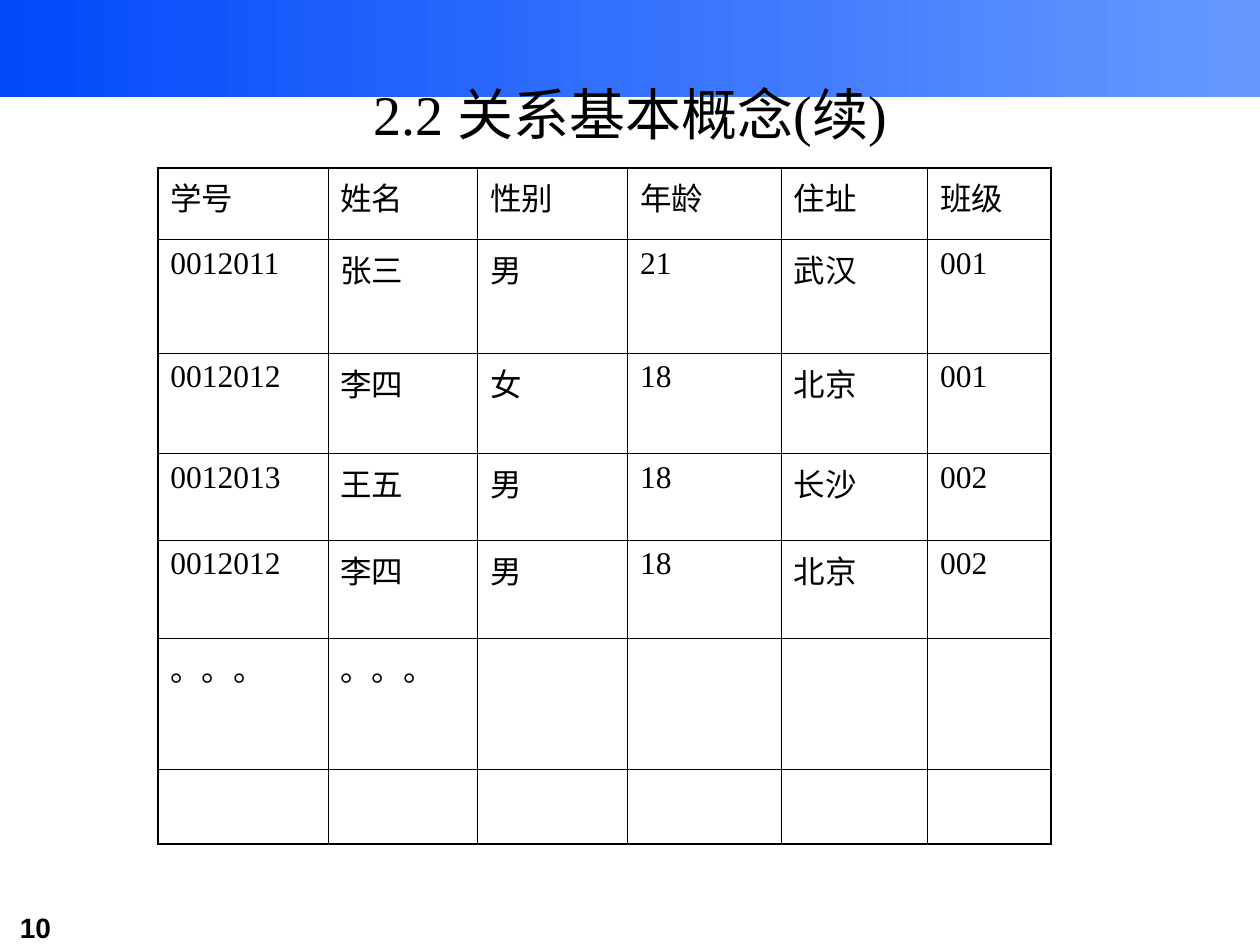
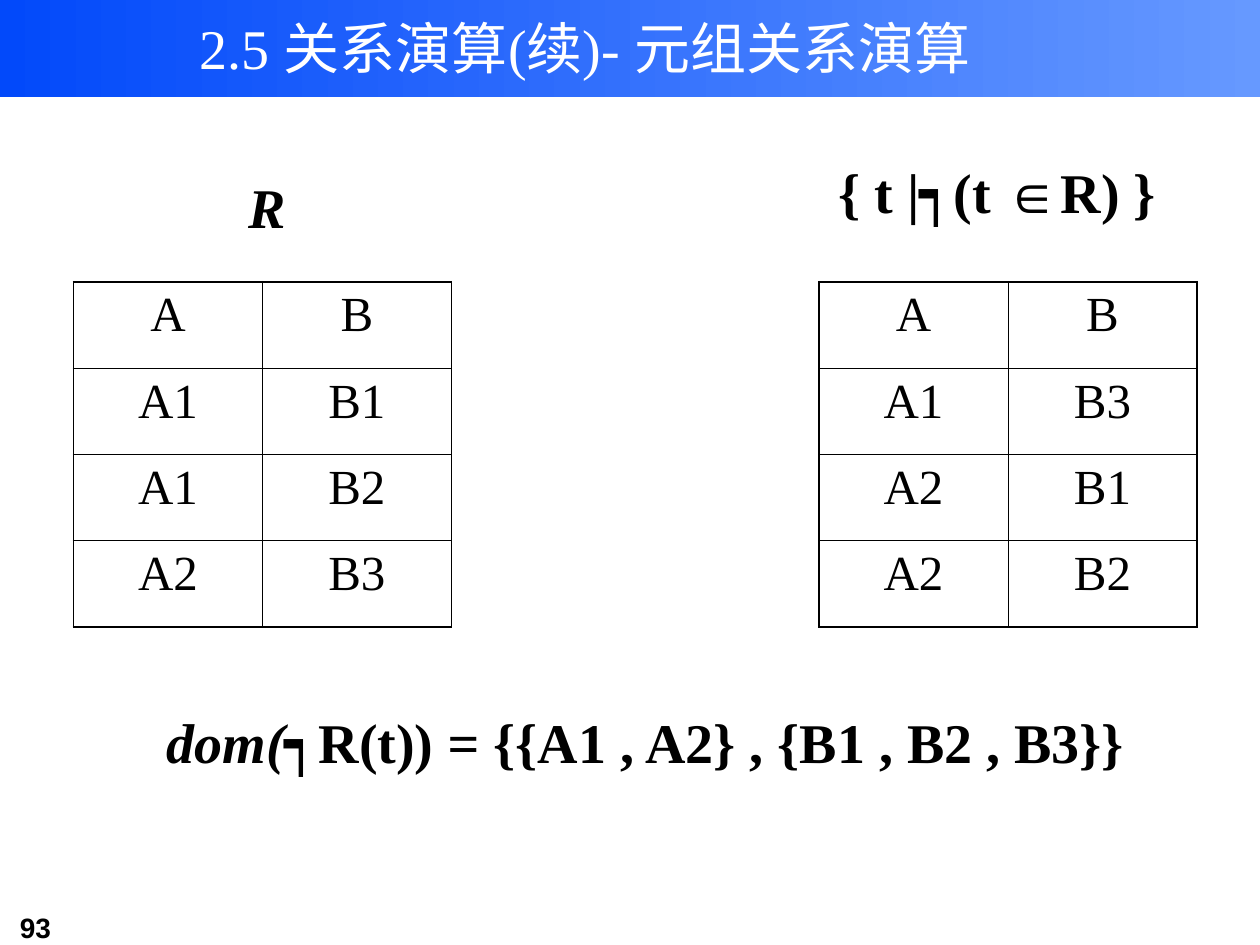
from lxml.etree import SubElement
from pptx import Presentation
from pptx.dml.color import RGBColor
from pptx.enum.shapes import MSO_SHAPE
from pptx.enum.text import MSO_ANCHOR, MSO_AUTO_SIZE, PP_ALIGN
from pptx.oxml.ns import qn
from pptx.util import Cm, Pt

BLACK, WHITE = "000000", "FFFFFF"
BAND_START, BAND_END = "0249FA", "6699FF"
SERIF, SANS = "Times New Roman", "Arial"
SLIDE_WIDTH, SLIDE_HEIGHT, BAND_HEIGHT = 25.4, 19.05, 1.96
THIN, THICK = 0.45, 1.08

STUDENT_COLUMNS = [3.43, 3.02, 3.02, 3.1, 2.95, 2.49]
STUDENT_HEIGHTS = [1.45, 2.29, 2.03, 1.74, 1.98, 2.65, 1.5]
STUDENTS = [
    ["学号", "姓名", "性别", "年龄", "住址", "班级"],
    ["0012011", "张三", "男", "21", "武汉", "001"],
    ["0012012", "李四", "女", "18", "北京", "001"],
    ["0012013", "王五", "男", "18", "长沙", "002"],
    ["0012012", "李四", "男", "18", "北京", "002"],
    ["。。。", "。。。", "", "", "", ""],
    [""] * 6,
]
RELATION = [["A", "B"], ["A1", "B1"], ["A1", "B2"], ["A2", "B3"]]
COMPLEMENT = [["A", "B"], ["A1", "B3"], ["A2", "B1"], ["A2", "B2"]]


def rgb(value):
    """Turn a hex string into a colour."""
    return RGBColor.from_string(value)


def add_run(paragraph, text, size, color=BLACK, name=SERIF, bold=False, italic=False):
    """Add one formatted run to a paragraph."""
    run = paragraph.add_run()
    run.text = text
    font = run.font
    font.size, font.name, font.bold, font.italic = Pt(size), name, bold, italic
    font.color.rgb = rgb(color)


def add_master_band(presentation, slide):
    """Draw the gradient band and move it to the slide master."""
    band = slide.shapes.add_shape(
        MSO_SHAPE.RECTANGLE, 0, 0, Cm(SLIDE_WIDTH), Cm(BAND_HEIGHT))
    band.shadow.inherit = False
    band.line.fill.background()
    band.fill.gradient()
    band.fill.gradient_angle = 0
    for stop, color in zip(band.fill.gradient_stops, (BAND_START, BAND_END)):
        stop.color.rgb = rgb(color)
    presentation.slide_master.shapes.element.insert(2, band.element)


def set_title(slide, box, text, color, anchor):
    """Place the title placeholder in its box and write the title."""
    title = slide.shapes.title
    title.left, title.top, title.width, title.height = map(Cm, box)
    frame = title.text_frame
    frame.auto_size = MSO_AUTO_SIZE.NONE
    frame.word_wrap = True
    frame.vertical_anchor = anchor
    frame.margin_top = frame.margin_bottom = 0
    paragraph = frame.paragraphs[0]
    paragraph.alignment = PP_ALIGN.CENTER
    add_run(paragraph, text, 32, color)


def add_text(slide, box, runs, size=32, alignment=PP_ALIGN.CENTER):
    """Add a bold text box whose runs are (text, options) pairs."""
    frame = slide.shapes.add_textbox(*map(Cm, box)).text_frame
    frame.word_wrap = True
    frame.margin_top = Cm(0.25)
    paragraph = frame.paragraphs[0]
    paragraph.alignment = alignment
    for text, options in runs:
        add_run(paragraph, text, size, bold=True, **options)


def add_page_number(slide, number):
    """Add the page number at the bottom left."""
    add_text(slide, (0.15, SLIDE_HEIGHT - 0.94, 3.1, 0.94),
             [(number, {"name": SANS})], 16, PP_ALIGN.LEFT)


def set_borders(cell, widths):
    """Draw the left, right, top and bottom borders of a cell."""
    properties = cell._tc.get_or_add_tcPr()
    for side, width in zip("LRTB", widths):
        line = SubElement(properties, qn(f"a:ln{side}"), w=str(Pt(width)))
        fill = SubElement(line, qn("a:solidFill"))
        SubElement(fill, qn("a:srgbClr"), val=BLACK)


def add_grid(slide, left, top, rows, widths, heights, size, alignment):
    """Add a table with thick outer and thin inner lines."""
    table = slide.shapes.add_table(
        len(rows), len(widths), Cm(left), Cm(top),
        Cm(sum(widths)), Cm(sum(heights))).table
    table.first_row = table.horz_banding = False
    for column, width in zip(table.columns, widths):
        column.width = Cm(width)
    last_row, last_column = len(rows) - 1, len(widths) - 1
    for i, (values, height) in enumerate(zip(rows, heights)):
        table.rows[i].height = Cm(height)
        for j, value in enumerate(values):
            cell = table.cell(i, j)
            outer = (j == 0, j == last_column, i == 0, i == last_row)
            set_borders(cell, [THICK if edge else THIN for edge in outer])
            cell.fill.background()
            paragraph = cell.text_frame.paragraphs[0]
            paragraph.alignment = alignment
            if value:
                add_run(paragraph, value, size)


def add_relation(slide, left, top, rows):
    """Add a two-column relation with equal cells."""
    add_grid(slide, left, top, rows, [3.81] * 2, [1.74] * 4, 28, PP_ALIGN.CENTER)


def build_student_slide(slide):
    """Build the slide with the student relation."""
    set_title(slide, (1.9, 1.6, 21.6, 2.74), "2.2 关系基本概念(续)",
              BLACK, MSO_ANCHOR.TOP)
    add_grid(slide, 3.18, 3.38, STUDENTS, STUDENT_COLUMNS, STUDENT_HEIGHTS,
             18, PP_ALIGN.LEFT)
    add_page_number(slide, "10")


def build_calculus_slide(slide):
    """Build the slide on tuple relational calculus."""
    italic = {"italic": True}
    set_title(slide, (2.64, 0.1, 18.31, 1.7), "2.5 关系演算(续)- 元组关系演算",
              WHITE, MSO_ANCHOR.MIDDLE)
    add_relation(slide, 1.48, 5.68, RELATION)
    add_relation(slide, 16.51, 5.68, COMPLEMENT)
    add_text(slide, (4.02, 3.23, 2.74, 1.63), [("R", italic)])
    add_text(slide, (16.08, 2.92, 8.05, 1.63), [
        ("{ t |", {}), ("┑", italic), ("(t ", {}),
        ("∈", {"name": SANS}), ("R) }", {})])
    add_text(slide, (1.9, 14.02, 22.23, 1.63), [
        ("dom(┑", italic), ("R(t)) ", {}), ("= ", italic),
        ("{{A1 , A2} , {B1 , B2 , B3}}", {})])
    add_page_number(slide, "93")


def main():
    """Create the presentation and save it."""
    presentation = Presentation()
    presentation.slide_width = Cm(SLIDE_WIDTH)
    presentation.slide_height = Cm(SLIDE_HEIGHT)
    title_only = presentation.slide_layouts[5]
    student_slide = presentation.slides.add_slide(title_only)
    add_master_band(presentation, student_slide)
    build_student_slide(student_slide)
    build_calculus_slide(presentation.slides.add_slide(title_only))
    presentation.save("out.pptx")


if __name__ == "__main__":
    main()
